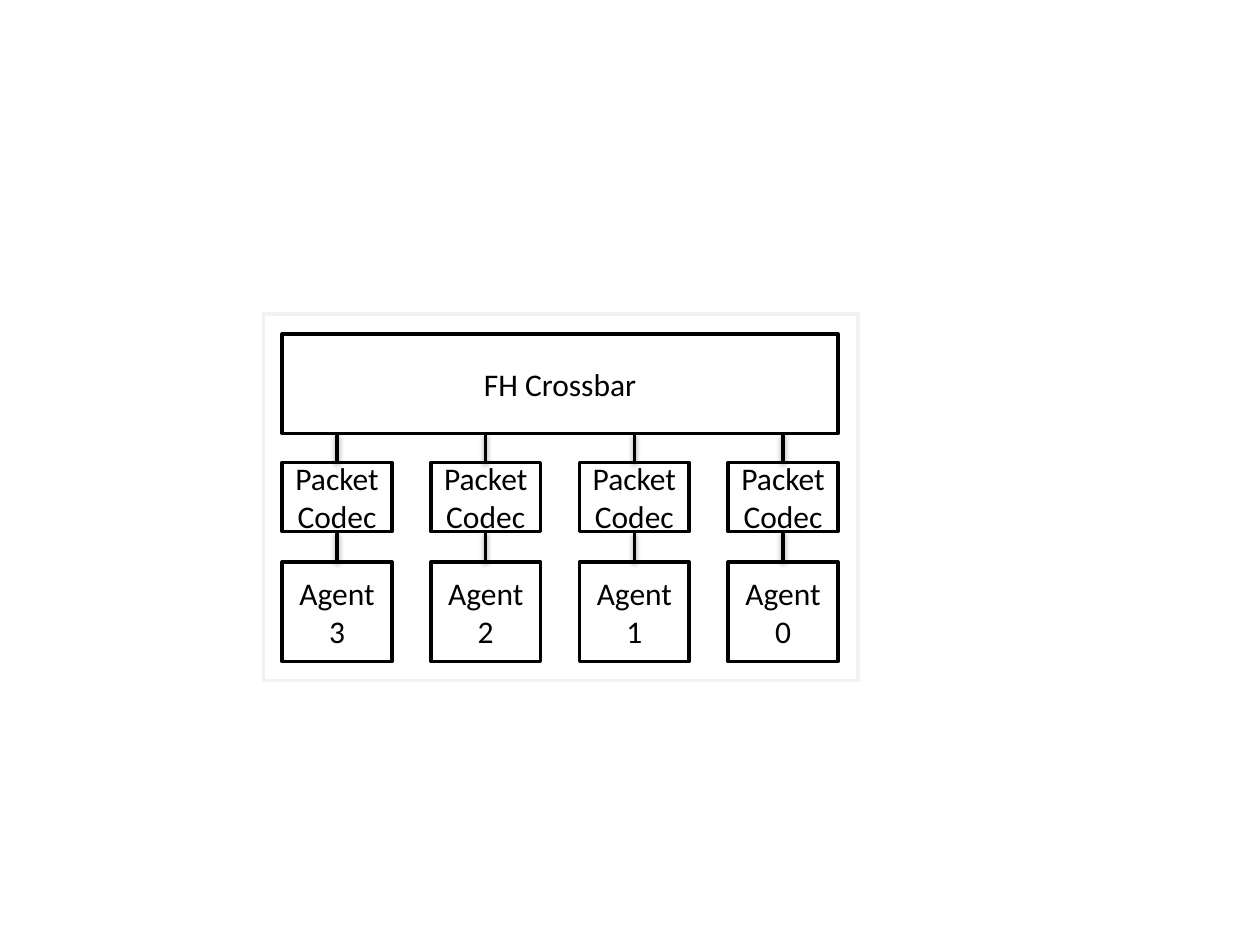
from dataclasses import dataclass

from lxml.etree import SubElement
from pptx import Presentation
from pptx.dml.color import RGBColor
from pptx.enum.shapes import MSO_CONNECTOR as CONN, MSO_SHAPE as SHAPE
from pptx.enum.text import MSO_ANCHOR as ANCHOR, PP_ALIGN as ALIGN
from pptx.oxml.ns import qn
from pptx.slide import Slide
from pptx.util import Inches, Pt

LEFT, PITCH, BOX_W, COLS = 2.24, 1.18, 0.87, 4
BLACK, WHITE, PALE = "000000", "FFFFFF", "F2F2F2"


@dataclass(frozen=True)
class Row:
    top: float
    height: float
    labels: tuple[str, ...]

    @property
    def bottom(self) -> float:
        return self.top + self.height


def color(value: str) -> RGBColor:
    return RGBColor.from_string(value)


def add_box(s: Slide, x: float, y: float, w: float, h: float,
            text: str = "", line: str = BLACK) -> None:
    sp = s.shapes.add_shape(SHAPE.RECTANGLE, Inches(x), Inches(y), Inches(w), Inches(h))
    sp.shadow.inherit = False
    sp.fill.solid()
    sp.fill.fore_color.rgb = color(WHITE)
    sp.line.color.rgb = color(line)
    sp.line.width = Pt(2)
    if not text:
        return
    tf = sp.text_frame
    tf.text = text
    tf.word_wrap = True
    tf.vertical_anchor = ANCHOR.MIDDLE
    p = tf.paragraphs[0]
    p.alignment = ALIGN.CENTER
    font = p.runs[0].font
    font.name, font.size = "Calibri", Pt(18)
    font.color.rgb = color(BLACK)


def add_link(s: Slide, x: float, start: float, end: float) -> None:
    cx = s.shapes.add_connector(CONN.STRAIGHT, Inches(x), Inches(start), Inches(x), Inches(end))
    cx.line.color.rgb = color(BLACK)
    cx.line.width = Pt(2)
    effects = SubElement(cx._element.spPr, qn("a:effectLst"))
    shadow = SubElement(effects, qn("a:outerShdw"), blurRad=str(Pt(3.1)),
                        dist=str(Pt(1.6)), dir="5400000", rotWithShape="0")
    tint = SubElement(shadow, qn("a:srgbClr"), val=BLACK)
    SubElement(tint, qn("a:alpha"), val="38000")


def add_row(s: Slide, row: Row, above: Row) -> None:
    for col, label in enumerate(row.labels):
        x = LEFT + col * PITCH
        add_box(s, x, row.top, BOX_W, row.height, label)
        add_link(s, x + BOX_W / 2, row.top, above.bottom)


prs = Presentation()
prs.slide_width, prs.slide_height = Inches(10), Inches(7.5)
s = prs.slides.add_slide(prs.slide_layouts[6])

crossbar = Row(2.65, 0.79, ("FH Crossbar",))
codecs = Row(3.67, 0.55, ("Packet Codec",) * COLS)
agents = Row(4.46, 0.79, tuple(f"Agent {n}" for n in reversed(range(COLS))))

add_box(s, 2.09, 2.49, 4.72, 2.91, line=PALE)
add_box(s, LEFT, crossbar.top, (COLS - 1) * PITCH + BOX_W, crossbar.height, crossbar.labels[0])
add_row(s, codecs, crossbar)
add_row(s, agents, codecs)

prs.save("out.pptx")
